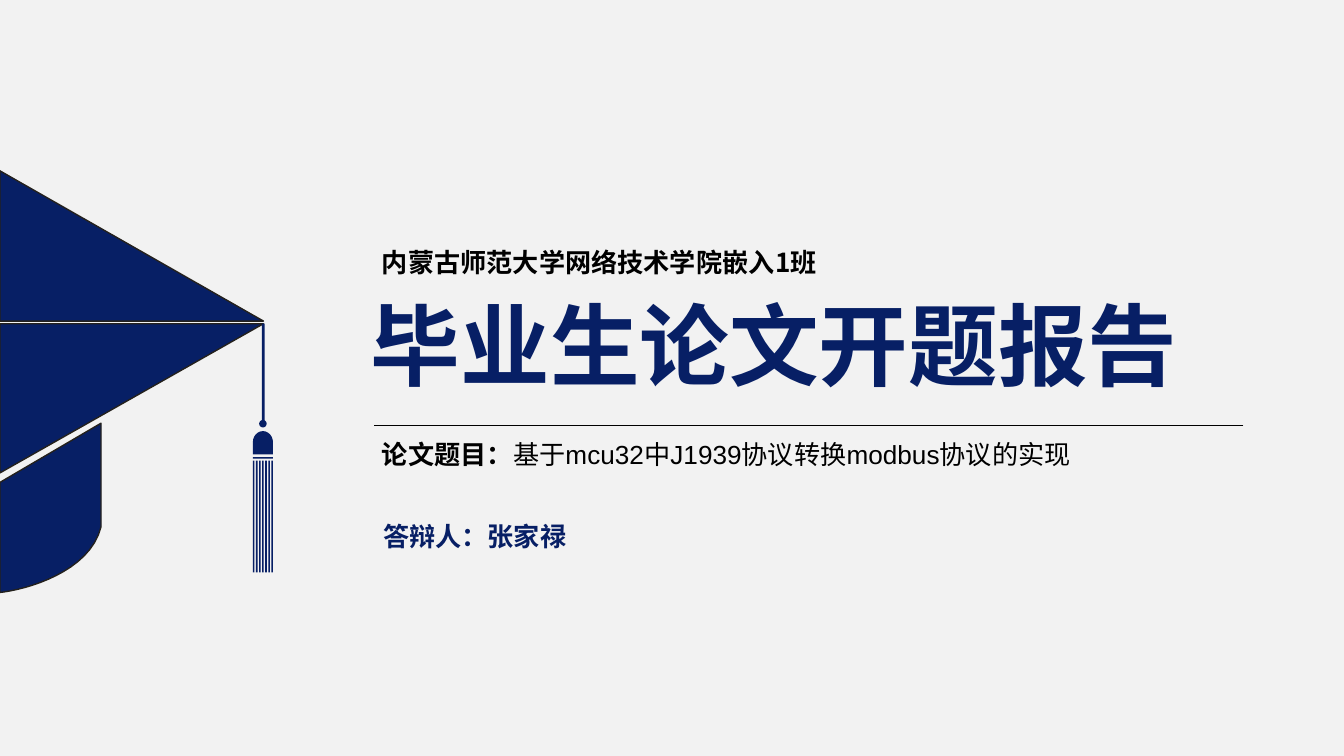
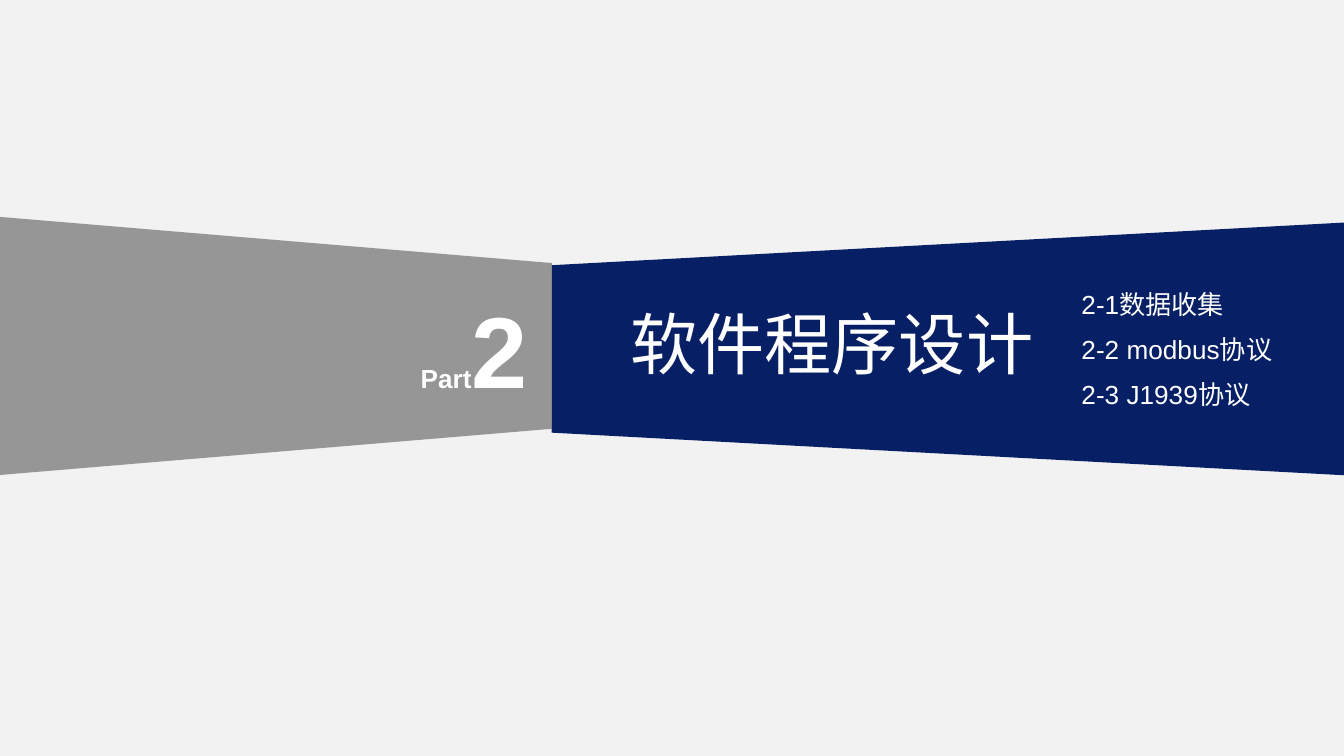
import math
import pptx
import pptx.util
import pptx.dml.color
import pptx.enum.shapes
import pptx.enum.text
import pptx.oxml
import pptx.oxml.ns

Cm, Pt = pptx.util.Cm, pptx.util.Pt
RGBColor = pptx.dml.color.RGBColor

# Shared colours and fonts
NAVY = RGBColor(0x07, 0x1F, 0x65)
GREY = RGBColor(0x80, 0x80, 0x80)
PAPER = RGBColor(0xF2, 0xF2, 0xF2)
INK = RGBColor(0x24, 0x21, 0x1D)
BLACK = RGBColor(0, 0, 0)
WHITE = RGBColor(255, 255, 255)
LATIN, CHINESE = "Arial", "Noto Sans CJK SC"
INSETS = (0.18, 0.1)


def write_text(box, place, color, spans, wrap=True, insets=INSETS):
    """Place a box and fill it with spans of (text, size, font, bold)."""
    box.left, box.top, box.width, box.height = [Cm(n) for n in place]
    frame = box.text_frame
    frame.word_wrap = wrap
    frame.auto_size = pptx.enum.text.MSO_AUTO_SIZE.SHAPE_TO_FIT_TEXT
    frame.vertical_anchor = pptx.enum.text.MSO_ANCHOR.TOP
    frame.margin_left = frame.margin_right = Cm(insets[0])
    frame.margin_top = frame.margin_bottom = Cm(insets[1])
    para = frame.paragraphs[0]
    para.alignment = pptx.enum.text.PP_ALIGN.LEFT
    for text, size, font, bold in spans:
        span = para.add_run()
        span.text = text
        span.font.size, span.font.bold, span.font.name = Pt(size), bold, font
        span.font.color.rgb = color
        east_asian = pptx.oxml.parse_xml(
            f'<a:ea {pptx.oxml.ns.nsdecls("a")} typeface="{CHINESE}"/>')
        span.font._element.find(pptx.oxml.ns.qn("a:latin")).addnext(east_asian)


def draw_outline(page, contours):
    """Draw closed contours, given in centimetres, as one navy shape."""
    contours = [[(Cm(x), Cm(y)) for x, y in contour] for contour in contours]
    builder = page.shapes.build_freeform(*contours[0][0], scale=1.0)
    for contour in contours:
        builder.move_to(*contour[0])
        builder.add_line_segments(contour[1:], close=True)
    shape = builder.convert_to_shape()
    shape.shadow.inherit = False
    shape.fill.solid()
    shape.fill.fore_color.rgb = NAVY
    shape.line.fill.background()
    return shape


deck = pptx.Presentation()
deck.slide_width, deck.slide_height = Cm(25.4), Cm(14.29)
background = deck.slide_master.background.fill
background.solid()
background.fore_color.rgb = PAPER
title_only = deck.slide_layouts[5]

# Slide 1: cover
page = deck.slides.add_slide(title_only)
write_text(page.shapes.title, (6.83, 5.38, 17.45, 2.24), NAVY,
           [("毕业生", 48, LATIN, True), ("论文开题报告", 48, CHINESE, True)])

cover_texts = [
    ((7.04, 4.55, 9.5, 0.79), BLACK, True,
     [("内蒙古师范大学网络技术学院嵌入1班", 14, CHINESE, True)]),
    ((7.04, 8.18, 16.23, 0.79), BLACK, True,
     [("论文题目：", 14, CHINESE, True),
      ("基于mcu32中J1939协议转换modbus协议的实现", 14, LATIN, False)]),
    ((7.06, 9.73, 3.89, 0.79), NAVY, False,
     [("答辩人：张家禄", 14, CHINESE, True)]),
]
for place, color, wrap, spans in cover_texts:
    box = page.shapes.add_textbox(0, 0, 0, 0)
    write_text(box, place, color, spans, wrap)

rule = page.shapes.add_connector(pptx.enum.shapes.MSO_CONNECTOR.STRAIGHT,
                                 Cm(23.5), Cm(8.05), Cm(7.06), Cm(8.05))
rule.line.color.rgb = BLACK
rule.line.width = Pt(0.5)
rule._element.spPr.append(
    pptx.oxml.parse_xml(f'<a:effectLst {pptx.oxml.ns.nsdecls("a")}/>'))

# Graduation cap: two halves of the board, and the skull cap with a curved hem
hem_controls = [(1.91, 9.96), (1.7, 10.82), (0.48, 11.15), (0, 11.2)]
hem = []
for step in range(17):
    t = step / 16
    weights = [math.comb(3, k) * t**k * (1 - t)**(3 - k) for k in range(4)]
    hem.append(tuple(sum(w * point[axis] for w, point in zip(weights, hem_controls))
                     for axis in (0, 1)))
cap = draw_outline(page, [
    [(0, 3.23), (4.98, 6.07), (0, 6.07)],
    [(4.98, 6.12), (0, 8.94), (0, 6.12)],
    hem + [(0, 9.12), (1.91, 8)],
])
cap.line.color.rgb = INK
cap.line.width = Pt(0)

# Tassel: cord, knot, domed head, band and seven threads
center, left, right = 4.97, 4.78, 5.16
knot = [(center + 0.07 * math.cos(a * math.pi / 12),
         8.01 + 0.07 * math.sin(a * math.pi / 12)) for a in range(24)]
dome = [(center - 0.19 * math.cos(a * math.pi / 12),
         8.36 - 0.21 * math.sin(a * math.pi / 12)) for a in range(13)]
bars = [(4.95, 6.12, 0.05, 1.82), (left, 8.64, right - left, 0.03)]
thread_width = 0.03
pitch = (right - left - thread_width) / 6
bars += [(left + i * pitch, 8.71, thread_width, 2.11) for i in range(7)]
draw_outline(page, [knot, dome + [(right, 8.59), (left, 8.59)]] + [
    [(x, y), (x + w, y), (x + w, y + h), (x, y + h)] for x, y, w, h in bars])

# Slide 2: section divider
page = deck.slides.add_slide(title_only)
bands = [((15.54, -0.91, 4.78, 15.01), 270, 0.169, NAVY),
         ((2.77, 1.32, 4.88, 10.44), 90, 0.179, GREY)]
for place, turn, slant, color in bands:
    band = page.shapes.add_shape(pptx.enum.shapes.MSO_SHAPE.TRAPEZOID,
                                 *[Cm(n) for n in place])
    band.rotation = turn
    band.adjustments[0] = slant
    band.shadow.inherit = False
    band.fill.solid()
    band.fill.fore_color.rgb = color
    band.line.fill.background()
# The grey band, drawn last, is slightly transparent
tone = band._element.spPr.find(".//" + pptx.oxml.ns.qn("a:srgbClr"))
tone.append(pptx.oxml.parse_xml(
    f'<a:alpha {pptx.oxml.ns.nsdecls("a")} val="80000"/>'))

# Title in front of the bands, with the part number
title = page.shapes.title
page.shapes._spTree.append(title._element)
write_text(title, (11.73, 5.61, 8.08, 1.73), WHITE,
           [("软件程序设计", 36, LATIN, False)], wrap=False)
number = page.shapes.add_textbox(0, 0, 0, 0)
write_text(number, (7.77, 5.33, 2.41, 2.49), WHITE,
           [("Part", 14, LATIN, True), ("2", 54, LATIN, True)], wrap=False)

# Topics of the section
topics = [("2-1数据收集", 3.35), ("2-2 modbus协议", 4.55), ("2-3 J1939协议", 3.94)]
for row, (topic, width) in enumerate(topics):
    box = page.shapes.add_textbox(0, 0, 0, 0)
    write_text(box, (20.19, 5.33 + row * 0.85, width, 0.86), WHITE,
               [(topic, 14, LATIN, False)], insets=(0.25, 0.13))

deck.save("out.pptx")
